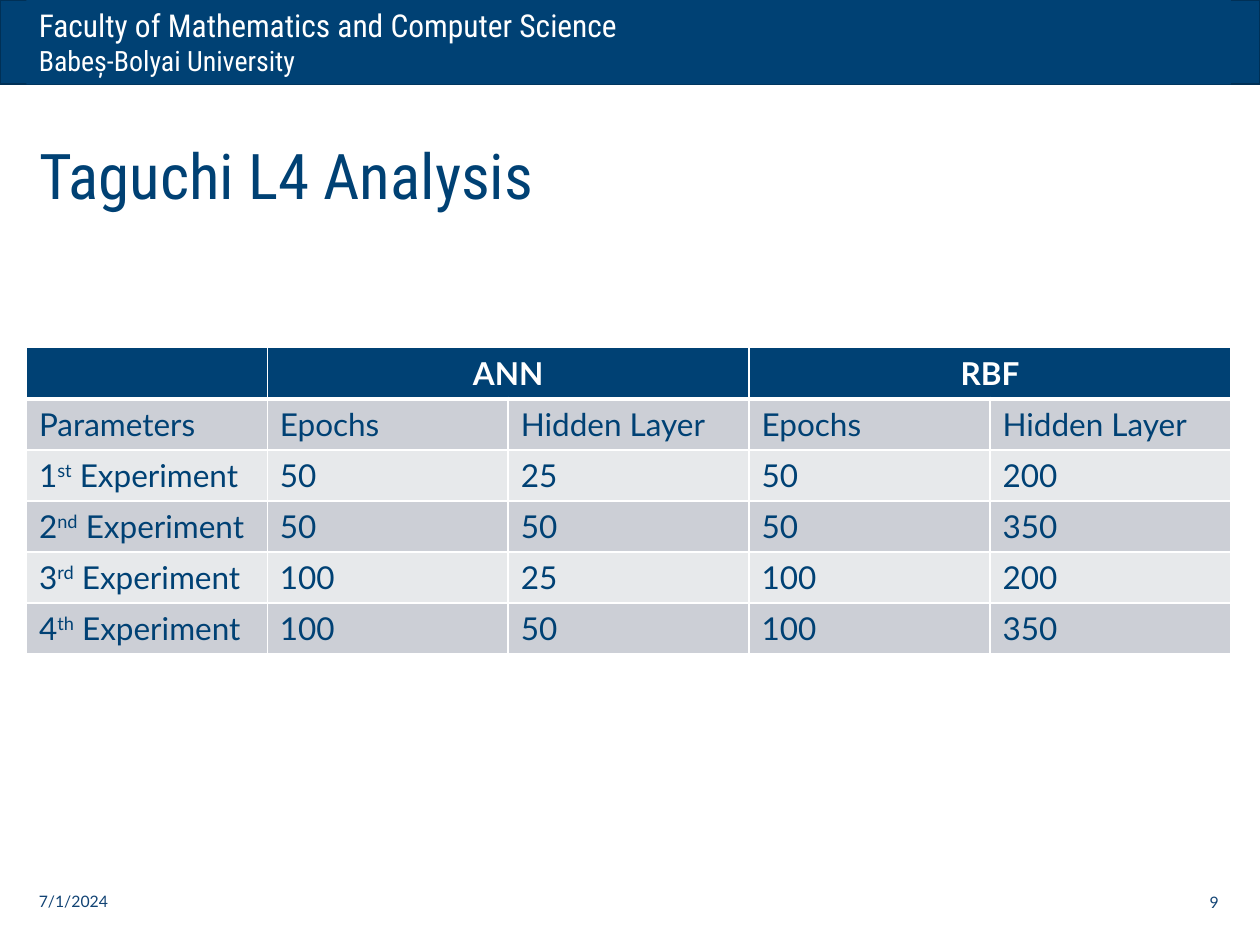
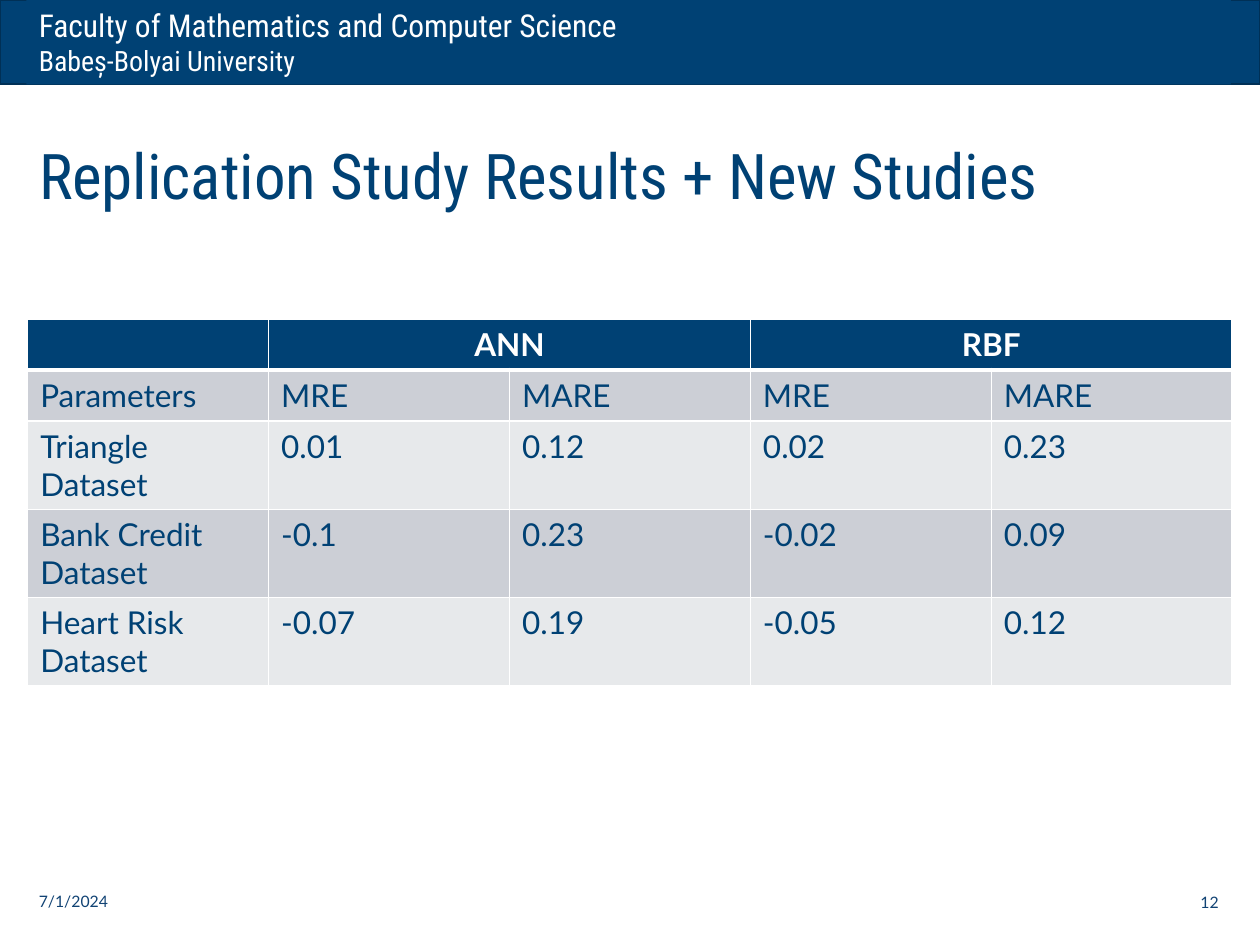
from lxml.etree import SubElement
from pptx import Presentation
from pptx.dml.color import RGBColor
from pptx.enum.shapes import MSO_SHAPE
from pptx.enum.text import MSO_ANCHOR, MSO_AUTO_SIZE, PP_ALIGN
from pptx.oxml.ns import qn
from pptx.util import Inches, Pt

COLORS = {
    "navy": "004174",
    "navy_edge": "003056",
    "footer": "114374",
    "white": "FFFFFF",
    "row_dark": "CCCFD6",
    "row_light": "E7E9EB",
}
HEADING_FONT = "Roboto Condensed"
BODY_FONT = "Lato"
MARGIN, CONTENT_WIDTH, BAND_HEIGHT = 0.21, 9.56, 0.67
COLUMNS = 5

PAGES = [
    {
        "title": "Taguchi L4 Analysis",
        "number": "9",
        "table_box": (0.21, 2.76, CONTENT_WIDTH, 2.43),
        "rows": [
            ["", "ANN", "", "RBF", ""],
            ["Parameters", "Epochs", "Hidden Layer", "Epochs", "Hidden Layer"],
            ["1^st^ Experiment", "50", "25", "50", "200"],
            ["2^nd^ Experiment", "50", "50", "50", "350"],
            ["3^rd^ Experiment", "100", "25", "100", "200"],
            ["4^th^ Experiment", "100", "50", "100", "350"],
        ],
    },
    {
        "title": "Replication Study Results + New Studies",
        "number": "12",
        "table_box": (0.22, 2.53, CONTENT_WIDTH, 2.03),
        "rows": [
            ["", "ANN", "", "RBF", ""],
            ["Parameters", "MRE", "MARE", "MRE", "MARE"],
            ["Triangle Dataset", "0.01", "0.12", "0.02", "0.23"],
            ["Bank Credit Dataset", "-0.1", "0.23", "-0.02", "0.09"],
            ["Heart Risk Dataset", "-0.07", "0.19", "-0.05", "0.12"],
        ],
    },
]


def style_run(run, font_name, size, color, bold=False):
    run.font.name = font_name
    run.font.size = Pt(size)
    run.font.bold = bold
    run.font.color.rgb = RGBColor.from_string(COLORS[color])


def add_border(cell, side, width):
    line = SubElement(cell._tc.get_or_add_tcPr(), qn(f"a:ln{side}"), w=str(Pt(width)))
    fill = SubElement(line, qn("a:solidFill"))
    SubElement(fill, qn("a:srgbClr"), val=COLORS["white"])


prs = Presentation()
prs.slide_width, prs.slide_height = Inches(10), Inches(7.5)

for page in PAGES:
    slide = prs.slides.add_slide(prs.slide_layouts[5])

    for left, width in ((0, 10), (MARGIN, CONTENT_WIDTH)):
        band = slide.shapes.add_shape(
            MSO_SHAPE.RECTANGLE, Inches(left), 0, Inches(width), Inches(BAND_HEIGHT)
        )
        band.shadow.inherit = False
        band.fill.solid()
        band.fill.fore_color.rgb = RGBColor.from_string(COLORS["navy"])
        if left == 0:
            band.line.color.rgb = RGBColor.from_string(COLORS["navy_edge"])
            band.line.width = Pt(1)
        else:
            band.line.fill.background()

    band.text_frame.vertical_anchor = MSO_ANCHOR.TOP
    affiliation = band.text_frame.paragraphs[0]
    affiliation.text = "Faculty of Mathematics and Computer Science\nBabeș-Bolyai University"
    affiliation.alignment = PP_ALIGN.LEFT
    for run, size in zip(affiliation.runs, (18, 16)):
        style_run(run, HEADING_FONT, size, "white")

    title = slide.shapes.title
    title.left, title.top = Inches(MARGIN), Inches(0.96)
    title.width, title.height = Inches(CONTENT_WIDTH), Inches(0.84)
    title.text_frame.text = page["title"]
    title.text_frame.auto_size = MSO_AUTO_SIZE.NONE
    title.text_frame.vertical_anchor = MSO_ANCHOR.MIDDLE
    title.text_frame.paragraphs[0].alignment = PP_ALIGN.LEFT
    style_run(title.text_frame.paragraphs[0].runs[0], HEADING_FONT, 36, "navy")

    rows = page["rows"]
    results = slide.shapes.add_table(
        len(rows), COLUMNS, *(Inches(length) for length in page["table_box"])
    ).table
    for row_index, row in enumerate(rows):
        is_header = row_index == 0
        fill_color = "navy" if is_header else ("row_light", "row_dark")[row_index % 2]
        for column_index, entry in enumerate(row):
            cell = results.cell(row_index, column_index)
            for side in "LRTB":
                thick = (side == "B" and is_header) or (side == "T" and row_index == 1)
                add_border(cell, side, 3 if thick else 1)
            cell.fill.solid()
            cell.fill.fore_color.rgb = RGBColor.from_string(COLORS[fill_color])
            paragraph = cell.text_frame.paragraphs[0]
            if is_header:
                cell.vertical_anchor = MSO_ANCHOR.MIDDLE
                paragraph.alignment = PP_ALIGN.CENTER
            if not entry:
                continue
            for part_index, part in enumerate(entry.split("^")):
                run = paragraph.add_run()
                run.text = part
                style_run(run, BODY_FONT, 18, "white" if is_header else "navy", is_header)
                if part_index == 1:
                    run.font._element.set("baseline", "30000")
    for first in (1, 3):
        results.cell(0, first).merge(results.cell(0, first + 1))

    for text, left, top, alignment in (
        ("7/1/2024", MARGIN, 6.95, PP_ALIGN.LEFT),
        (page["number"], 7.52, 6.96, PP_ALIGN.RIGHT),
    ):
        footer = slide.shapes.add_textbox(Inches(left), Inches(top), Inches(2.25), Inches(0.4))
        footer.text_frame.word_wrap = True
        footer.text_frame.vertical_anchor = MSO_ANCHOR.MIDDLE
        footer.text_frame.text = text
        footer.text_frame.paragraphs[0].alignment = alignment
        style_run(footer.text_frame.paragraphs[0].runs[0], BODY_FONT, 9, "footer")

prs.save("out.pptx")
